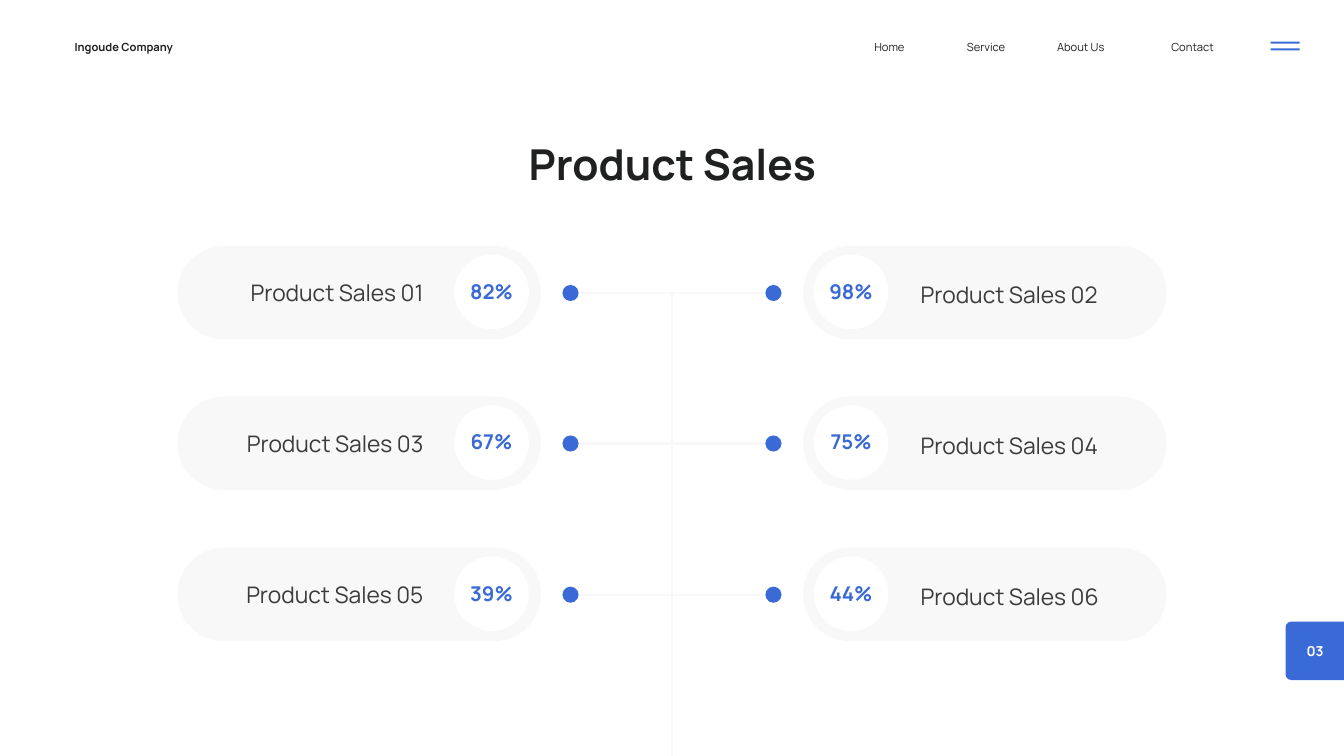
import pptx
import pptx.dml.color
import pptx.enum.shapes
import pptx.enum.text
import pptx.oxml.ns
import pptx.util
import lxml.etree

PX = 9144
SHAPE = pptx.enum.shapes.MSO_SHAPE
ALIGN = pptx.enum.text.PP_ALIGN

COLORS = {
    "blue": "3A6AD6",
    "ink": "1F2020",
    "label": "3B3B3B",
    "pale": "F8F8F8",
    "white": "FFFFFF",
}

STYLES = {
    "nav": {"size": 12, "bold": False, "leading": 16.8, "color": "ink"},
    "brand": {"size": 12, "bold": True, "leading": 16.8, "color": "ink"},
    "page": {"size": 14.7, "bold": True, "leading": 20.6, "color": "white"},
    "label": {"size": 24.4, "bold": False, "leading": 34.2, "color": "label"},
    "percent": {"size": 21.8, "bold": True, "leading": 30.6, "color": "blue"},
    "title": {"size": 45.6, "bold": True, "leading": 63.9, "color": "ink"},
}

NAVIGATION = [
    ("Home", 1301, 89),
    ("Service", 1439, 80),
    ("About Us", 1573, 116),
    ("Contact", 1743, 107),
]

COLUMNS = [
    {
        "pill": 264, "badge": 676, "percent": 691, "label": 253,
        "label_rise": 28, "align": ALIGN.RIGHT,
        "sales": [("Product Sales 01", "82%"), ("Product Sales 03", "67%"),
                  ("Product Sales 05", "39%")],
    },
    {
        "pill": 1195, "badge": 1211, "percent": 1226, "label": 1370,
        "label_rise": 25, "align": ALIGN.LEFT,
        "sales": [("Product Sales 02", "98%"), ("Product Sales 04", "75%"),
                  ("Product Sales 06", "44%")],
    },
]

ROW_CENTERS = [436 + 449 * row // 2 for row in range(3)]
BRANCH_ENDS = (849, 1151)


def emu(*lengths):
    return [pptx.util.Emu(length * PX) for length in lengths]


def rgb(color):
    return pptx.dml.color.RGBColor.from_string(COLORS[color])


def set_values(target, values):
    for name, value in values.items():
        setattr(target, name, value)


def add_block(slide, preset, box, color, corner=None):
    block = slide.shapes.add_shape(preset, *emu(*box))
    block.shadow.inherit = False
    block.fill.solid()
    block.fill.fore_color.rgb = rgb(color)
    block.line.fill.background()
    if corner is not None:
        block.adjustments[0] = corner


def add_words(slide, words, box, style, align=ALIGN.LEFT):
    look = STYLES[style]
    frame = slide.shapes.add_textbox(*emu(*box)).text_frame
    set_values(frame, {
        "margin_left": 0, "margin_top": 0, "margin_right": 0, "margin_bottom": 0,
        "word_wrap": True,
        "auto_size": pptx.enum.text.MSO_AUTO_SIZE.SHAPE_TO_FIT_TEXT,
    })
    paragraph = frame.paragraphs[0]
    set_values(paragraph, {
        "alignment": align, "line_spacing": pptx.util.Pt(look["leading"]),
    })
    run = paragraph.add_run()
    run.text = words
    set_values(run.font, {
        "name": "Manrope", "size": pptx.util.Pt(look["size"]), "bold": look["bold"],
    })
    run.font.color.rgb = rgb(look["color"])


def add_rule(slide, start, end):
    rule = slide.shapes.add_connector(
        pptx.enum.shapes.MSO_CONNECTOR.STRAIGHT, *emu(*start, *end))
    rule.line.color.rgb = rgb("pale")
    rule.line.width = pptx.util.Pt(2.25)
    lxml.etree.SubElement(rule._element.spPr, pptx.oxml.ns.qn("a:effectLst"))


def add_header(slide):
    for top in (62, 72):
        add_block(slide, SHAPE.RECTANGLE, (1891, top, 43, 3), "blue")
    for words, left, width in NAVIGATION:
        add_words(slide, words, (left, 56, width, 23), "nav")
    add_words(slide, "Ingoude Company", (111, 56, 179, 23), "brand")


def add_page_tab(slide):
    add_block(slide, SHAPE.ROUNDED_RECTANGLE, (1913, 925, 104, 87), "blue", 0.1)
    add_words(slide, "03", (1933, 953, 48, 28), "page", ALIGN.CENTER)


def add_sales_column(slide, column):
    for center, (name, percent) in zip(ROW_CENTERS, column["sales"]):
        add_block(slide, SHAPE.ROUNDED_RECTANGLE,
                  (column["pill"], center - 70, 541, 139), "pale", 0.5)
        add_block(slide, SHAPE.OVAL, (column["badge"], center - 57, 111, 111), "white")
        add_words(slide, name,
                  (column["label"], center - column["label_rise"], 377, 48),
                  "label", column["align"])
        add_words(slide, percent, (column["percent"], center - 27, 81, 44),
                  "percent", ALIGN.CENTER)


def add_tree(slide):
    for center in ROW_CENTERS:
        add_rule(slide, (BRANCH_ENDS[0], center), (BRANCH_ENDS[1], center))
    for center in ROW_CENTERS:
        for end in BRANCH_ENDS:
            add_block(slide, SHAPE.OVAL, (end - 12, center - 12, 24, 24), "blue")
    add_rule(slide, (1000, 438), (1000, 1155))


def main():
    deck = pptx.Presentation()
    deck.slide_width, deck.slide_height = emu(2000, 1125)
    slide = deck.slides.add_slide(deck.slide_layouts[6])
    add_header(slide)
    add_page_tab(slide)
    for column in COLUMNS:
        add_sales_column(slide, column)
    add_words(slide, "Product Sales", (585, 192, 831, 89), "title", ALIGN.CENTER)
    add_tree(slide)
    deck.save("out.pptx")


if __name__ == "__main__":
    main()
